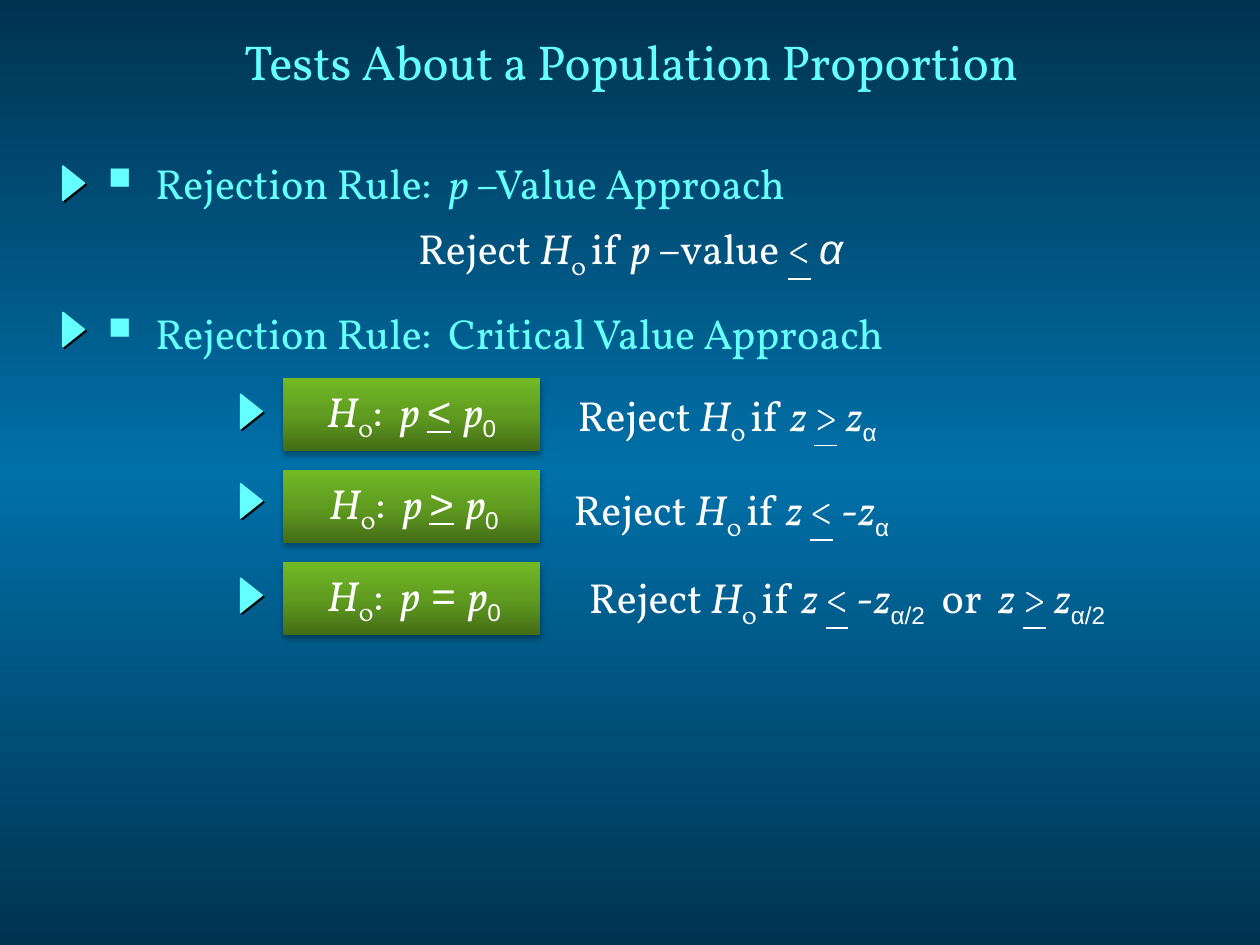
"""Build the slide on rejection rules for tests about a population proportion."""
import lxml.etree
import pptx
import pptx.dml.color
import pptx.enum.shapes
import pptx.enum.text
import pptx.oxml
import pptx.oxml.ns
import pptx.util

Pt = pptx.util.Pt
SHAPES = pptx.enum.shapes.MSO_SHAPE
ALIGN = pptx.enum.text.PP_ALIGN
ANCHOR = pptx.enum.text.MSO_ANCHOR
qn = pptx.oxml.ns.qn
DRAWING = 'xmlns:a="http://schemas.openxmlformats.org/drawingml/2006/main"'
CYAN, WHITE = "66FFFF", "FFFFFF"


def rgb(color):
    return pptx.dml.color.RGBColor.from_string(color)


def add_text(runs, left, top, width, height, size=24, color=WHITE,
             align=ALIGN.CENTER, anchor=ANCHOR.TOP, wrap=False, bullet=False):
    """Add (text, style) runs; style letters: i italic, u underline, s subscript, a Arial."""
    frame = slide.shapes.add_textbox(Pt(left), Pt(top), Pt(width), Pt(height)).text_frame
    frame.word_wrap = wrap
    frame.vertical_anchor = anchor
    paragraph = frame.paragraphs[0]
    paragraph.alignment = align
    if bullet:
        properties = paragraph._p.get_or_add_pPr()
        properties.set("marL", str(Pt(27)))
        properties.set("indent", str(-Pt(27)))
        for xml in (f'<a:buClr {DRAWING}><a:srgbClr val="{color}"/></a:buClr>',
                    f'<a:buSzPct {DRAWING} val="75000"/>',
                    f'<a:buChar {DRAWING} char="■"/>'):
            properties.append(pptx.oxml.parse_xml(xml))
    for text, style in runs:
        run = paragraph.add_run()
        run.text = text
        run.font.size = Pt(size)
        run.font.name = "Arial" if "a" in style else "Vollkorn"
        run.font.color.rgb = rgb(color)
        run.font.italic = "i" in style
        run.font.underline = "u" in style
        if "s" in style:
            run._r.get_or_add_rPr().set("baseline", "-25000")


deck = pptx.Presentation()
deck.slide_width, deck.slide_height = Pt(720), Pt(540)
slide = deck.slides.add_slide(deck.slide_layouts[6])

panels = [slide.shapes.add_shape(SHAPES.RECTANGLE, Pt(162), Pt(216 + 52.5 * row),
                                 Pt(146.9), Pt(41.8)) for row in range(3)]
green = ("446D16", "609C20", "72B925")
backdrop = ("003350", "0070A8", "003350")
gradients = [(slide.background.fill, backdrop, 270)] + [(panel.fill, green, 90) for panel in panels]
for fill, colors, angle in gradients:
    fill.gradient()
    fill.gradient_angle = angle
    stops = fill.gradient_stops[0]._gs.getparent()
    for stop in list(stops):
        stops.remove(stop)
    for position, color in zip((0, 50000, 100000), colors):
        stop = lxml.etree.SubElement(stops, qn("a:gs"), pos=str(position))
        lxml.etree.SubElement(stop, qn("a:srgbClr"), val=color)

markers = []
for left, top in ((32.4, 98.6), (32.4, 182.2), (133.9, 229), (133.9, 280.1), (133.9, 334.1)):
    marker = slide.shapes.add_shape(SHAPES.ISOSCELES_TRIANGLE, Pt(left), Pt(top), Pt(19.4), Pt(12.2))
    marker.rotation = 90
    marker.fill.solid()
    marker.fill.fore_color.rgb = rgb(CYAN)
    marker.line.color.rgb = rgb(CYAN)
    marker.line.width = Pt(1)
    markers.append(marker)

for panel in panels:
    panel.line.fill.background()
shadows = [(panel, 3.5, 2.2, 90, 32) for panel in panels]
shadows += [(marker, 0, 1.4, 45, 100) for marker in markers]
for shape, blur, distance, direction, opacity in shadows:
    shape.shadow.inherit = False
    shape._element.spPr.find(qn("a:effectLst")).append(pptx.oxml.parse_xml(
        f'<a:outerShdw {DRAWING} blurRad="{Pt(blur)}" dist="{Pt(distance)}" '
        f'dir="{direction * 60000}" algn="ctr" rotWithShape="0">'
        f'<a:srgbClr val="000000"><a:alpha val="{opacity * 1000}"/></a:srgbClr></a:outerShdw>'))

add_text([("Tests About a Population Proportion", "")], 54.7, 7.2, 612, 55.4,
         size=28, color=CYAN, anchor=ANCHOR.MIDDLE, wrap=True)
p_value_heading = [("Rejection Rule:  ", ""), ("p", "i"), (" –Value Approach", "")]
critical_heading = [("Rejection Rule:  Critical Value Approach", "")]
for heading, top in ((p_value_heading, 86.4), (critical_heading, 172.1)):
    add_text(heading, 54.7, top, 612, 46.1, color=CYAN, align=ALIGN.LEFT, wrap=True, bullet=True)

reject = [("Reject ", ""), ("H", "i"), ("0 ", "s"), ("if ", "")]
add_text(reject + [("p ", "i"), ("–value ", ""), ("<", "u"), (" ", ""), ("α", "ia")],
         227.5, 123.8, 265.7, 36)

relations = (
    (177.1, [("p ", "i"), ("<", "ua"), (" ", "a")]),
    (178.6, [("p ", "i"), (">", "ua"), (" ", "a")]),
    (178.6, [("p", "i"), (" = ", "a")]),
)
for row, (left, relation) in enumerate(relations):
    add_text([("H", "i"), ("0", "s"), (":  ", "")] + relation + [("p", "i"), ("0", "sa")],
             left, 216.7 + 52.5 * row, 115.9, 36)

above = [("z ", "i"), (">", "u"), (" ", ""), ("z", "i")]
below = [("z ", "i"), ("<", "u"), (" -", ""), ("z", "i")]
rules = (
    (319, 218.9, 193, above + [("α", "sa")]),
    (317.5, 272.9, 200.9, below + [("α", "sa")]),
    (317.5, 323.3, 337, below + [("α/2", "sa"), ("  or  ", "")] + above + [("α/2 ", "sa")]),
)
for left, top, width, condition in rules:
    add_text(reject + condition, left, top, width, 36)

deck.save("out.pptx")
